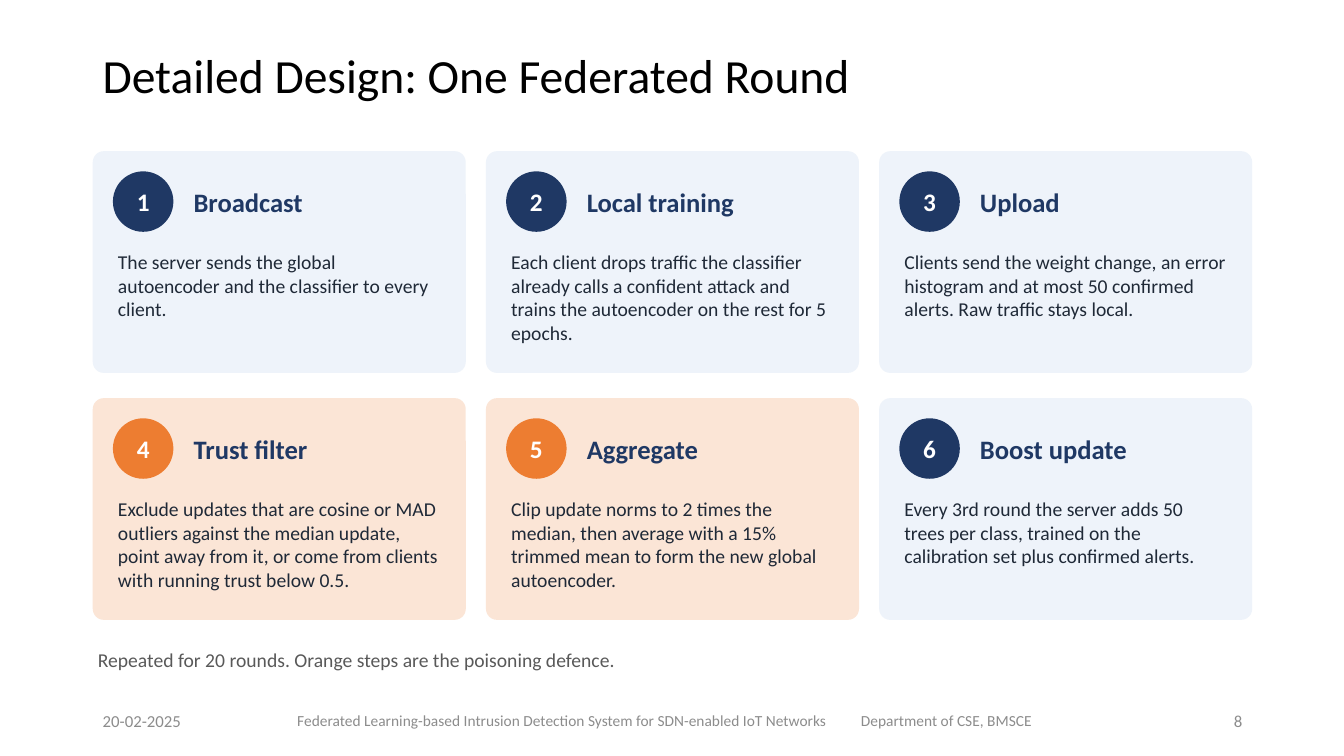
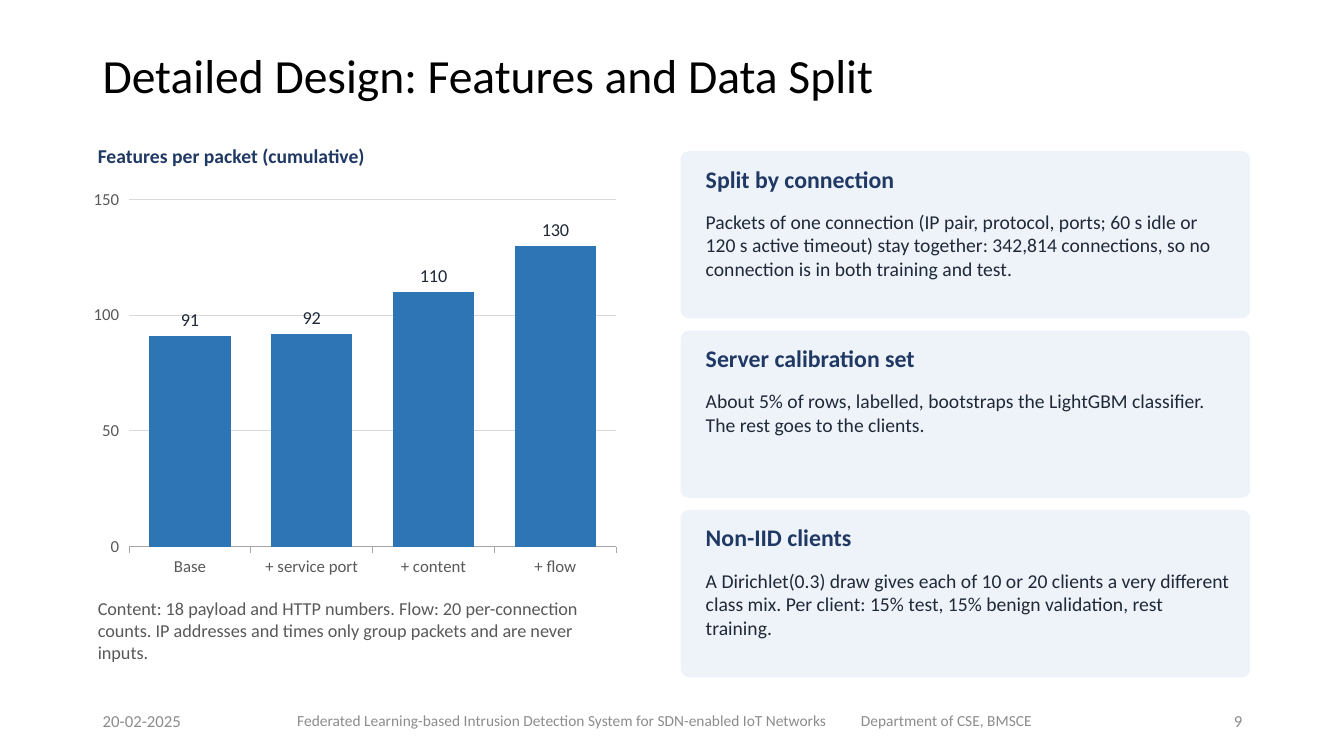
import dataclasses

import pptx
import pptx.chart.data
import pptx.dml.color
import pptx.enum.chart
import pptx.enum.shapes
import pptx.enum.text
import pptx.util

Inches = pptx.util.Inches
Pt = pptx.util.Pt
Align = pptx.enum.text.PP_ALIGN
Anchor = pptx.enum.text.MSO_ANCHOR
Shape = pptx.enum.shapes.MSO_SHAPE


@dataclasses.dataclass(frozen=True)
class Theme:
    font: str = "Calibri"
    # Colours
    black: str = "000000"
    white: str = "FFFFFF"
    navy: str = "1F3864"
    orange: str = "ED7D31"
    pale_blue: str = "EEF3FA"
    pale_orange: str = "FBE5D6"
    ink: str = "1F2937"
    muted: str = "595959"
    footer: str = "8C8C8C"
    bar: str = "2E75B6"
    axis: str = "A6A6A6"
    grid: str = "D9D9D9"
    # Type sizes in points
    title_size: int = 34
    step_size: int = 19
    badge_size: int = 18
    heading_size: int = 17
    body_size: int = 14
    caption_size: int = 13
    footer_size: int = 12
    footer_small: int = 11
    axis_size: int = 12


THEME = Theme()
MARGIN = 0.92
TIGHT = (0.05, 0.03)
NORMAL = (0.1, 0.05)


def rgb(value):
    return pptx.dml.color.RGBColor.from_string(value)


def style_font(font, size, color, bold=False):
    font.name = THEME.font
    font.size = Pt(size)
    font.color.rgb = rgb(color)
    font.bold = bold


def write_text(box, text, *, size=THEME.body_size, color=THEME.ink, bold=False,
               align=Align.LEFT, anchor=Anchor.TOP, inset=TIGHT, line_spacing=None):
    frame = box.text_frame
    frame.word_wrap = True
    frame.vertical_anchor = anchor
    frame.margin_left = frame.margin_right = Inches(inset[0])
    frame.margin_top = frame.margin_bottom = Inches(inset[1])
    para = frame.paragraphs[0]
    para.alignment = align
    if line_spacing:
        para.line_spacing = line_spacing
    span = para.add_run()
    span.text = text
    style_font(span.font, size, color, bold)


class Builder:
    """Holds the deck and the page being filled."""

    def __init__(self):
        self.deck = pptx.Presentation()
        self.deck.slide_width = Inches(13.33)
        self.deck.slide_height = Inches(7.5)
        self.page = None

    def start_page(self, title, number):
        self.page = self.deck.slides.add_slide(self.deck.slide_layouts[6])
        self.text(title, MARGIN, 0.3, 10.9, 0.95, size=THEME.title_size,
                  color=THEME.black, anchor=Anchor.MIDDLE, inset=NORMAL,
                  line_spacing=0.9)
        footers = [
            ("20-02-2025", MARGIN, 3, THEME.footer_size, Align.LEFT),
            ("Federated Learning-based Intrusion Detection System for "
             "SDN-enabled IoT Networks", 2.85, 5.6, THEME.footer_small, Align.LEFT),
            ("Department of CSE, BMSCE", 8.44, 2.2, THEME.footer_small, Align.LEFT),
            (str(number), 9.42, 3, THEME.footer_size, Align.RIGHT),
        ]
        for text, left, width, size, align in footers:
            self.text(text, left, 6.95, width, 0.4, size=size, color=THEME.footer,
                      align=align, anchor=Anchor.MIDDLE, inset=NORMAL)

    def text(self, text, left, top, width, height, **style):
        box = self.page.shapes.add_textbox(
            Inches(left), Inches(top), Inches(width), Inches(height))
        write_text(box, text, **style)

    def shape(self, kind, left, top, width, height, fill):
        shape = self.page.shapes.add_shape(
            kind, Inches(left), Inches(top), Inches(width), Inches(height))
        shape.shadow.inherit = False
        shape.fill.solid()
        shape.fill.fore_color.rgb = rgb(fill)
        shape.line.fill.background()
        return shape

    def card(self, left, top, width, height, fill=THEME.pale_blue):
        card = self.shape(Shape.ROUNDED_RECTANGLE, left, top, width, height, fill)
        card.adjustments[0] = 0.05

    def step_card(self, number, heading, body, left, top, highlight):
        self.card(left, top, 3.7, 2.2,
                  THEME.pale_orange if highlight else THEME.pale_blue)
        badge = self.shape(Shape.OVAL, left + 0.2, top + 0.2, 0.6, 0.6,
                           THEME.orange if highlight else THEME.navy)
        write_text(badge, str(number), size=THEME.badge_size, color=THEME.white,
                   bold=True, align=Align.CENTER, anchor=Anchor.MIDDLE)
        self.text(heading, left + 0.95, top + 0.2, 2.6, 0.6, size=THEME.step_size,
                  color=THEME.navy, bold=True, anchor=Anchor.MIDDLE)
        self.text(body, left + 0.2, top + 0.95, 3.3, 1.2)

    def note_card(self, heading, body, left, top):
        self.card(left, top, 5.65, 1.66)
        self.text(heading, left + 0.2, top + 0.1, 5.3, 0.4,
                  size=THEME.heading_size, color=THEME.navy, bold=True)
        self.text(body, left + 0.2, top + 0.55, 5.3, 1.1)

    def column_chart(self, name, values, left, top, width, height):
        data = pptx.chart.data.CategoryChartData(number_format="0")
        data.categories = list(values)
        data.add_series(name, list(values.values()))
        chart = self.page.shapes.add_chart(
            pptx.enum.chart.XL_CHART_TYPE.COLUMN_CLUSTERED,
            Inches(left), Inches(top), Inches(width), Inches(height), data).chart
        chart.has_title = False
        chart.has_legend = False
        style_font(chart.font, THEME.axis_size, THEME.muted)

        # Axes
        category_axis, value_axis = chart.category_axis, chart.value_axis
        category_axis.format.line.color.rgb = rgb(THEME.axis)
        category_axis.format.line.width = Pt(0.75)
        value_axis.format.line.fill.background()
        value_axis.minimum_scale = 0
        value_axis.maximum_scale = 150
        value_axis.major_unit = 50
        gridline = value_axis.major_gridlines.format.line
        gridline.color.rgb = rgb(THEME.grid)
        gridline.width = Pt(0.75)

        # Bars and their labels
        plot = chart.plots[0]
        plot.gap_width = 50
        plot.vary_by_categories = False
        series = plot.series[0]
        series.format.fill.solid()
        series.format.fill.fore_color.rgb = rgb(THEME.bar)
        labels = series.data_labels
        labels.show_value = True
        labels.number_format = "0"
        labels.number_format_is_linked = False
        labels.position = pptx.enum.chart.XL_LABEL_POSITION.OUTSIDE_END
        style_font(labels.font, THEME.caption_size, THEME.ink)


def build_round_page(builder):
    builder.start_page("Detailed Design: One Federated Round", 8)
    steps = [
        ("Broadcast", "The server sends the global autoencoder and the classifier "
         "to every client."),
        ("Local training", "Each client drops traffic the classifier already calls "
         "a confident attack and trains the autoencoder on the rest for 5 epochs."),
        ("Upload", "Clients send the weight change, an error histogram and at most "
         "50 confirmed alerts. Raw traffic stays local."),
        ("Trust filter", "Exclude updates that are cosine or MAD outliers against "
         "the median update, point away from it, or come from clients with running "
         "trust below 0.5."),
        ("Aggregate", "Clip update norms to 2 times the median, then average with "
         "a 15% trimmed mean to form the new global autoencoder."),
        ("Boost update", "Every 3rd round the server adds 50 trees per class, "
         "trained on the calibration set plus confirmed alerts."),
    ]
    defence_steps = {4, 5}
    for index, (heading, body) in enumerate(steps):
        row, column = divmod(index, 3)
        number = index + 1
        builder.step_card(number, heading, body, MARGIN + 3.9 * column,
                          1.5 + 2.45 * row, number in defence_steps)
    builder.text("Repeated for 20 rounds. Orange steps are the poisoning defence.",
                 MARGIN, 6.4, 11.5, 0.4, color=THEME.muted)


def build_features_page(builder):
    builder.start_page("Detailed Design: Features and Data Split", 9)

    # Feature counts
    builder.text("Features per packet (cumulative)", MARGIN, 1.4, 5.5, 0.4,
                 color=THEME.navy, bold=True)
    feature_counts = {"Base": 91, "+ service port": 92, "+ content": 110, "+ flow": 130}
    builder.column_chart("Features per packet", feature_counts, 0.82, 1.8, 5.4, 4)
    builder.text("Content: 18 payload and HTTP numbers. Flow: 20 per-connection "
                 "counts. IP addresses and times only group packets and are never "
                 "inputs.", MARGIN, 5.9, 5.3, 0.9, size=THEME.caption_size,
                 color=THEME.muted)

    # Data split
    notes = [
        ("Split by connection", "Packets of one connection (IP pair, protocol, "
         "ports; 60 s idle or 120 s active timeout) stay together: 342,814 "
         "connections, so no connection is in both training and test."),
        ("Server calibration set", "About 5% of rows, labelled, bootstraps the "
         "LightGBM classifier. The rest goes to the clients."),
        ("Non-IID clients", "A Dirichlet(0.3) draw gives each of 10 or 20 clients a "
         "very different class mix. Per client: 15% test, 15% benign validation, "
         "rest training."),
    ]
    for row, (heading, body) in enumerate(notes):
        builder.note_card(heading, body, 6.75, 1.5 + 1.78 * row)


def main():
    builder = Builder()
    build_round_page(builder)
    build_features_page(builder)
    builder.deck.save("out.pptx")


if __name__ == "__main__":
    main()
